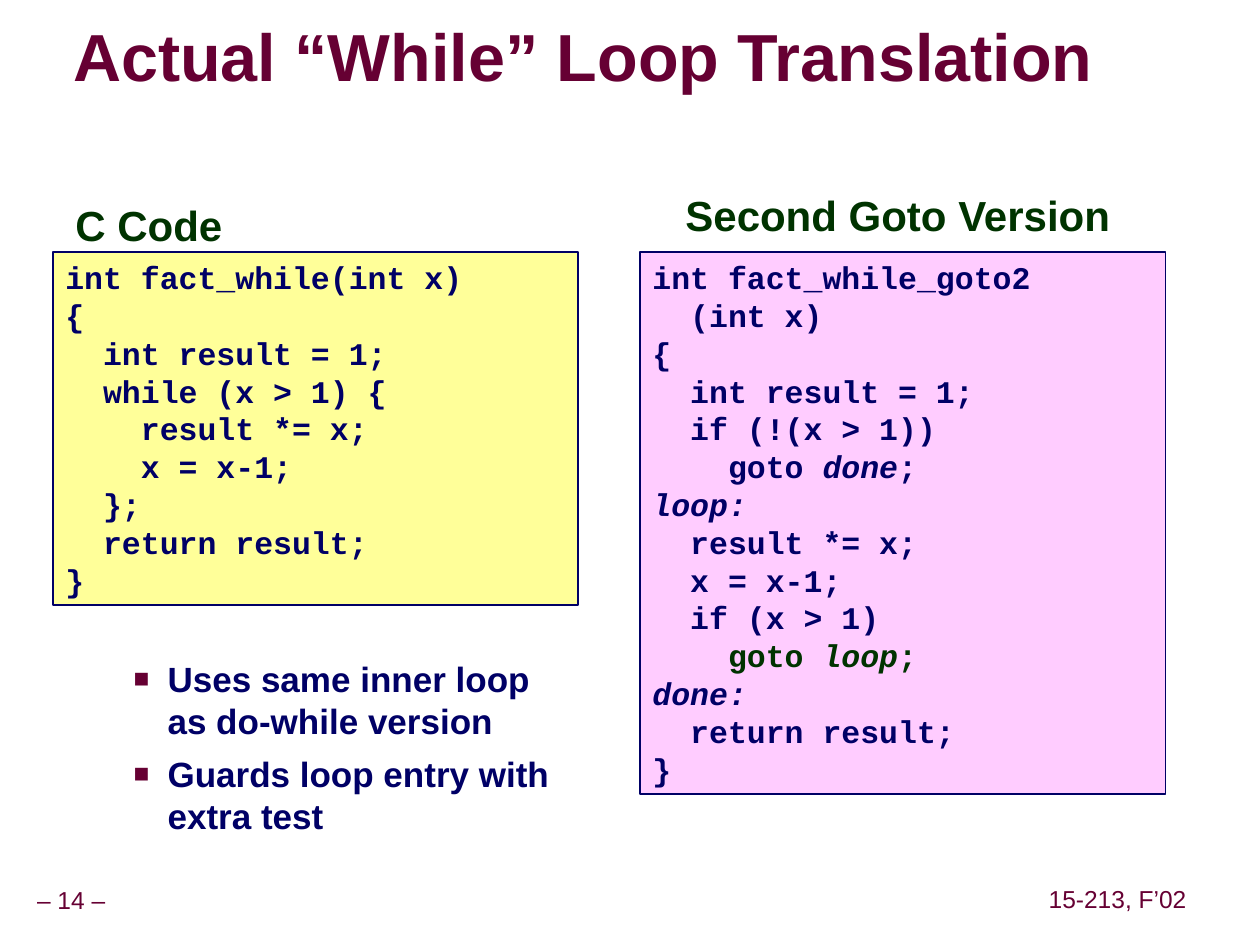
from lxml import etree
from pptx import Presentation
from pptx import util as u
from pptx.dml.color import RGBColor
from pptx.enum import shapes, text
from pptx.oxml import ns

MAROON = RGBColor(0x66, 0x00, 0x33)
NAVY = RGBColor(0x00, 0x00, 0x66)
GREEN = RGBColor(0x00, 0x33, 0x00)
YELLOW = RGBColor(0xFF, 0xFF, 0x99)
PINK = RGBColor(0xFF, 0xCC, 0xFF)

# A code line is a list of (words, italic, colour) runs
WHILE_CODE = """int fact_while(int x)
{
  int result = 1;
  while (x > 1) {
    result *= x;
    x = x-1;
  };
  return result;
}"""

GOTO_CODE = """int fact_while_goto2
  (int x)
{
  int result = 1;
  if (!(x > 1))
    goto done;
loop:
  result *= x;
  x = x-1;
  if (x > 1)
    goto loop;
done:
  return result;
}"""


def plain_lines(code):
    return [[(line, False, NAVY)] for line in code.split("\n")]


def goto_lines(code):
    """Labels are italic, and the jump back to the loop is green."""
    lines = plain_lines(code)
    for i, line in enumerate(code.split("\n")):
        if line.endswith(":"):
            lines[i] = [(line, True, NAVY)]
        elif "goto " in line:
            color = GREEN if "loop" in line else NAVY
            jump, label = line[:-1].rsplit(" ", 1)
            lines[i] = [(jump, False, color), (" " + label, True, color), (";", False, color)]
    return lines


class SlideBuilder:
    sans, mono = "Arial", "Courier New"

    def __init__(self, slide):
        self.slide = slide

    def place(self, shape, left, top, width, height):
        shape.left, shape.top = u.Inches(left), u.Inches(top)
        shape.width, shape.height = u.Inches(width), u.Inches(height)

    def frame(self, shape, side=0.1, edge=0.05, anchor=text.MSO_ANCHOR.TOP, wrap=True):
        frame = shape.text_frame
        frame.margin_left = frame.margin_right = u.Inches(side)
        frame.margin_top = frame.margin_bottom = u.Inches(edge)
        frame.vertical_anchor = anchor
        frame.word_wrap = wrap
        frame.auto_size = text.MSO_AUTO_SIZE.NONE
        return frame

    def style(self, run, size, color, bold=True, italic=False, font=sans):
        run.font.name, run.font.size = font, u.Pt(size)
        run.font.bold, run.font.italic = bold, italic
        run.font.color.rgb = color

    def title(self, words, *at):
        title = self.slide.shapes.title
        self.place(title, *at)
        frame = self.frame(title, 0, 0, text.MSO_ANCHOR.MIDDLE)
        frame.text = words
        line = frame.paragraphs[0]
        line.alignment, line.line_spacing = text.PP_ALIGN.LEFT, 0.87
        run = line.runs[0]
        self.style(run, 38, MAROON)
        # Soft grey text shadow, which belongs right after the fill
        effects = etree.Element(ns.qn("a:effectLst"))
        shadow = etree.SubElement(effects, ns.qn("a:outerShdw"), dist="38100", dir="2700000")
        etree.SubElement(shadow, ns.qn("a:srgbClr"), val="969696")
        run.font.fill._xPr.find(ns.qn("a:solidFill")).addnext(effects)

    def label(self, words, at, size, color, bold, align, **frame_options):
        box = self.slide.shapes.add_textbox(*map(u.Inches, at))
        frame = self.frame(box, **frame_options)
        frame.text = words
        line = frame.paragraphs[0]
        line.alignment, line.line_spacing = align, 0.9
        self.style(line.runs[0], size, color, bold)

    def heading(self, words, at, align):
        self.label(words, at, 24, GREEN, True, align)

    def footer(self, words, *at):
        self.label(words, at, 14, MAROON, False, text.PP_ALIGN.CENTER,
                   side=0.05, anchor=text.MSO_ANCHOR.MIDDLE, wrap=False)

    def code(self, lines, fill, *at):
        panel = self.slide.shapes.add_shape(shapes.MSO_SHAPE.RECTANGLE, *map(u.Inches, at))
        panel.shadow.inherit = False
        panel.fill.solid()
        panel.fill.fore_color.rgb = fill
        panel.line.color.rgb, panel.line.width = NAVY, u.Pt(1)
        frame = self.frame(panel)
        for i, runs in enumerate(lines):
            line = frame.add_paragraph() if i else frame.paragraphs[0]
            line.alignment = text.PP_ALIGN.LEFT
            for words, italic, color in runs:
                run = line.add_run()
                run.text = words
                self.style(run, 18, color, italic=italic, font=self.mono)

    def bullets(self, points, *at):
        body = self.slide.placeholders[1]
        self.place(body, *at)
        frame = self.frame(body)
        frame.text = "\n".join(points)
        for i, point in enumerate(frame.paragraphs):
            point.level = 1
            props = point._p.get_or_add_pPr()
            props.set("marL", str(u.Inches(0.81)))
            props.set("indent", str(u.Inches(-0.27)))
            color = etree.SubElement(props, ns.qn("a:buClr"))
            etree.SubElement(color, ns.qn("a:srgbClr"), val=str(MAROON))
            etree.SubElement(props, ns.qn("a:buSzPct"), val="75000")
            etree.SubElement(props, ns.qn("a:buFont"), typeface=self.sans)
            etree.SubElement(props, ns.qn("a:buChar"), char="■")
            point.space_before = u.Pt(6.2 if i else 0)
            self.style(point.runs[0], 20, NAVY)


def main():
    deck = Presentation()
    deck.slide_width, deck.slide_height = u.Inches(10), u.Inches(7.5)
    page = SlideBuilder(deck.slides.add_slide(deck.slide_layouts[1]))

    # Title and footers
    page.title("Actual “While” Loop Translation", 0.58, 0.17, 8.33, 0.63)
    page.footer("– 14 –", -0.09, 7, 1.31, 0.31)
    page.footer("15-213, F’02", 8.27, 6.99, 1.2, 0.31)

    # Left: the C code and remarks
    page.heading("C Code", (0.5, 1.58, 2.85, 0.45), text.PP_ALIGN.LEFT)
    page.code(plain_lines(WHILE_CODE), YELLOW, 0.42, 2, 4.17, 2.8)
    page.bullets(["Uses same inner loop as do-while version",
                  "Guards loop entry with extra test"], 0.42, 5.17, 4.08, 2)

    # Right: the goto version
    page.heading("Second Goto Version", (5.25, 1.5, 3.75, 0.45), text.PP_ALIGN.CENTER)
    page.code(goto_lines(GOTO_CODE), PINK, 5.08, 2, 4.17, 4.3)

    deck.save("out.pptx")


if __name__ == "__main__":
    main()
